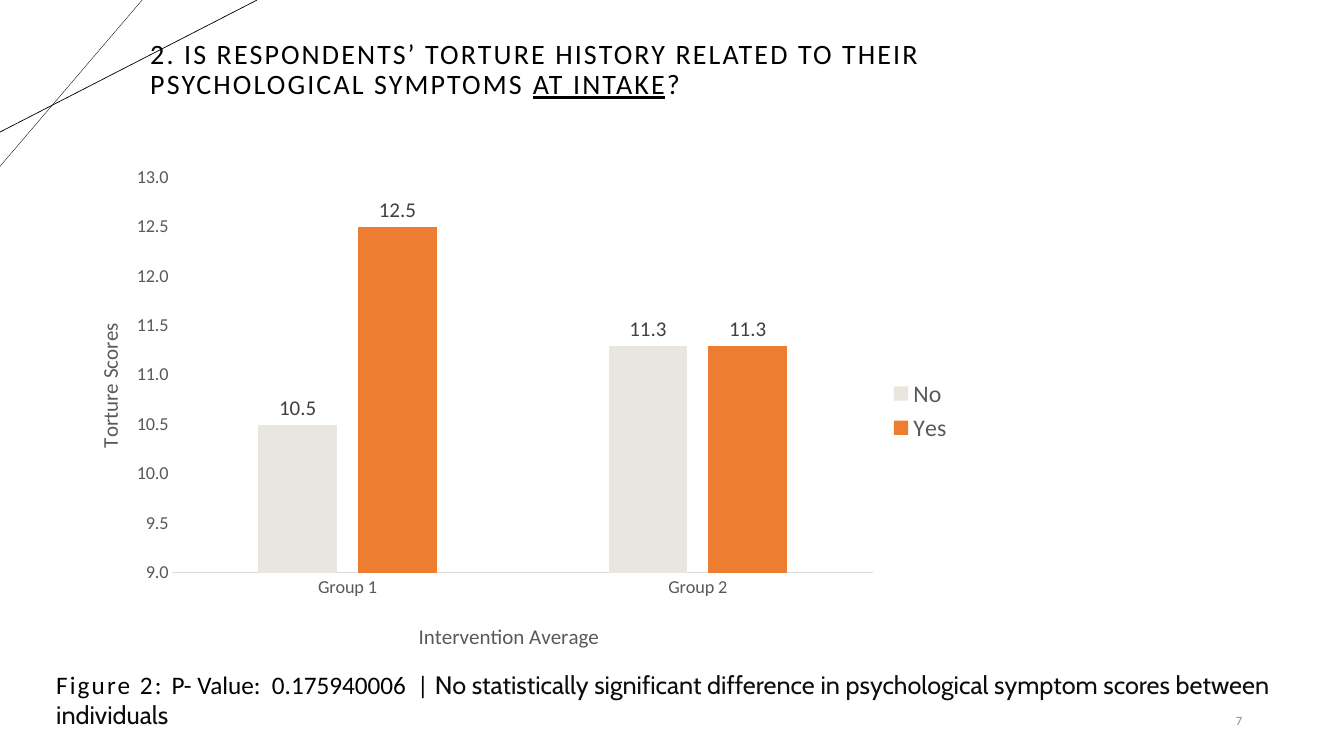
"""Build the slide on torture history and psychological symptoms at intake."""
from dataclasses import dataclass

from lxml import etree
from pptx import Presentation
from pptx import util as u
from pptx.chart.data import CategoryChartData
from pptx.dml.color import RGBColor
from pptx.enum import chart as ch, shapes, text
from pptx.oxml import ns


@dataclass
class Span:
    words: str
    size: float
    color: str = "000000"
    face: str = "Calibri"
    track: int = 0
    under: bool = False


@dataclass
class Rule:
    top: float
    left: float
    width: float


@dataclass
class Group:
    name: str
    values: tuple[float, ...]
    color: str


RULES = [Rule(1.41, 1.65, 0.25), Rule(2.55, 1.31, 0.5)]
GROUPS = [Group("No", (10.5, 11.3), "E9E6DF"), Group("Yes", (12.5, 11.3), "ED7D31")]
TITLE = [
    Span("2. IS RESPONDENTS’ TORTURE HISTORY RELATED TO THEIR PSYCHOLOGICAL SYMPTOMS ", 20, track=150),
    Span("AT INTAKE", 20, track=150, under=True),
    Span("?", 20, track=150),
]
NOTE = [
    Span("Figure 2: ", 18, track=150),
    Span("P- Value:  0.175940006  | ", 18),
    Span("No statistically significant difference in psychological symptom scores between individuals",
         18, "0D0D0D", "Cabin"),
]
GRAY = "595959"


def paint(part, color: str) -> None:
    """Set a colour from a hex string on a fill or font."""
    if hasattr(part, "solid"):
        part.solid()
        part.fore_color.rgb = RGBColor.from_string(color)
    else:
        part.color.rgb = RGBColor.from_string(color)


def style(font, size: float, color: str, face: str = "Calibri") -> None:
    """Format a font."""
    font.size, font.name, font.bold = u.Pt(size), face, False
    paint(font, color)


def place(shape, left: float, top: float, width: float, height: float) -> None:
    """Move and size a shape in inches."""
    shape.left, shape.top = u.Inches(left), u.Inches(top)
    shape.width, shape.height = u.Inches(width), u.Inches(height)


def write(shape, spans: list[Span], align=text.PP_ALIGN.LEFT, anchor=text.MSO_ANCHOR.TOP):
    """Write styled spans into one paragraph and return it."""
    frame = shape.text_frame
    frame.word_wrap, frame.auto_size = True, text.MSO_AUTO_SIZE.NONE
    frame.vertical_anchor = anchor
    para = frame.paragraphs[0]
    para.alignment = align
    for span in spans:
        run = para.add_run()
        run.text = span.words
        style(run.font, span.size, span.color, span.face)
        run.font.underline = span.under
        run.font._element.set("spc", str(span.track))
    return para


def draw_rule(slide, rule: Rule) -> None:
    """Draw a corner line from the top edge to the left edge."""
    line = slide.shapes.add_connector(
        shapes.MSO_CONNECTOR.STRAIGHT, u.Inches(rule.top), 0, 0, u.Inches(rule.left))
    line.line.width = u.Pt(rule.width)
    paint(line.line.fill, "000000")
    etree.SubElement(line._element.spPr, ns.qn("a:effectLst"))


def pin(node, inner: bool = False, **box: float) -> None:
    """Fix the layout of a chart part as fractions of the chart."""
    layout = node.find(ns.qn("c:layout"))
    if layout is None:
        layout = etree.Element(ns.qn("c:layout"))
        node.insert(0, layout)
    manual = etree.SubElement(layout, ns.qn("c:manualLayout"))
    items = {"layoutTarget": "inner"} if inner else {}
    items |= {"xMode": "edge", "yMode": "edge"} | box
    for tag, value in items.items():
        etree.SubElement(manual, ns.qn(f"c:{tag}")).set("val", str(value))


def name_axis(axis, words: str, left: float, top: float) -> None:
    """Title an axis and style its labels."""
    axis.has_major_gridlines = False
    axis.major_tick_mark = ch.XL_TICK_MARK.NONE
    style(axis.tick_labels.font, 13, GRAY)
    title = axis.axis_title
    title.text_frame.text = words
    style(title.text_frame.paragraphs[0].runs[0].font, 15, GRAY)
    pin(title._element, x=left, y=top)


def draw_chart(slide) -> None:
    """Draw the column chart of scores."""
    data = CategoryChartData(number_format="0.0")
    data.categories = ["Group 1", "Group 2"]
    for group in GROUPS:
        data.add_series(group.name, group.values)
    chart = slide.shapes.add_chart(
        ch.XL_CHART_TYPE.COLUMN_CLUSTERED, u.Inches(0.64), u.Inches(1.56),
        u.Inches(8.91), u.Inches(5.03), data).chart
    style(chart.font, 10, "000000")
    chart.has_title = False
    chart.has_legend = True
    chart.legend.position = ch.XL_LEGEND_POSITION.RIGHT
    chart.legend.include_in_layout = False
    style(chart.legend.font, 17, GRAY)

    plot = chart.plots[0]
    plot.gap_width, plot.overlap, plot.vary_by_categories = 219, -27, False
    for group, series in zip(GROUPS, plot.series):
        paint(series.format.fill, group.color)
        labels = series.data_labels
        labels.show_value = True
        labels.position = ch.XL_LABEL_POSITION.OUTSIDE_END
        labels.number_format, labels.number_format_is_linked = "0.0", False
        style(labels.font, 15, "404040")

    base, scale = chart.category_axis, chart.value_axis
    name_axis(base, "Intervention Average", 0.39, 0.91)
    base.format.line.width = u.Pt(0.75)
    paint(base.format.line.fill, "D9D9D9")
    name_axis(scale, "Torture Scores", 0.03, 0.32)
    scale.minimum_scale, scale.maximum_scale, scale.major_unit = 9, 13, 0.5
    scale.tick_labels.number_format = "0.0"
    scale.tick_labels.number_format_is_linked = False
    scale.format.line.fill.background()
    pin(chart._chartSpace.chart.plotArea, True, x=0.12, y=0.04, w=0.78, h=0.78)


def main() -> None:
    """Build and save the slide."""
    deck = Presentation()
    deck.slide_width, deck.slide_height = u.Inches(13.33), u.Inches(7.5)
    slide = deck.slides.add_slide(deck.slide_layouts[5])
    paint(slide.background.fill, "FFFFFF")
    for rule in RULES:
        draw_rule(slide, rule)

    title = slide.shapes.title
    place(title, 1.39, 0.35, 9.48, 1.01)
    write(title, TITLE).line_spacing = 0.9

    page = slide.shapes.add_textbox(0, 0, 0, 0)
    place(page, 11.34, 6.95, 1.08, 0.4)
    write(page, [Span("7", 9, "8C8C8C")], text.PP_ALIGN.RIGHT, text.MSO_ANCHOR.MIDDLE)

    draw_chart(slide)

    note = slide.shapes.add_textbox(0, 0, 0, 0)
    place(note, 0.46, 6.59, 12.23, 0.71)
    write(note, NOTE).space_after = u.Pt(3.2)
    deck.save("out.pptx")


if __name__ == "__main__":
    main()
